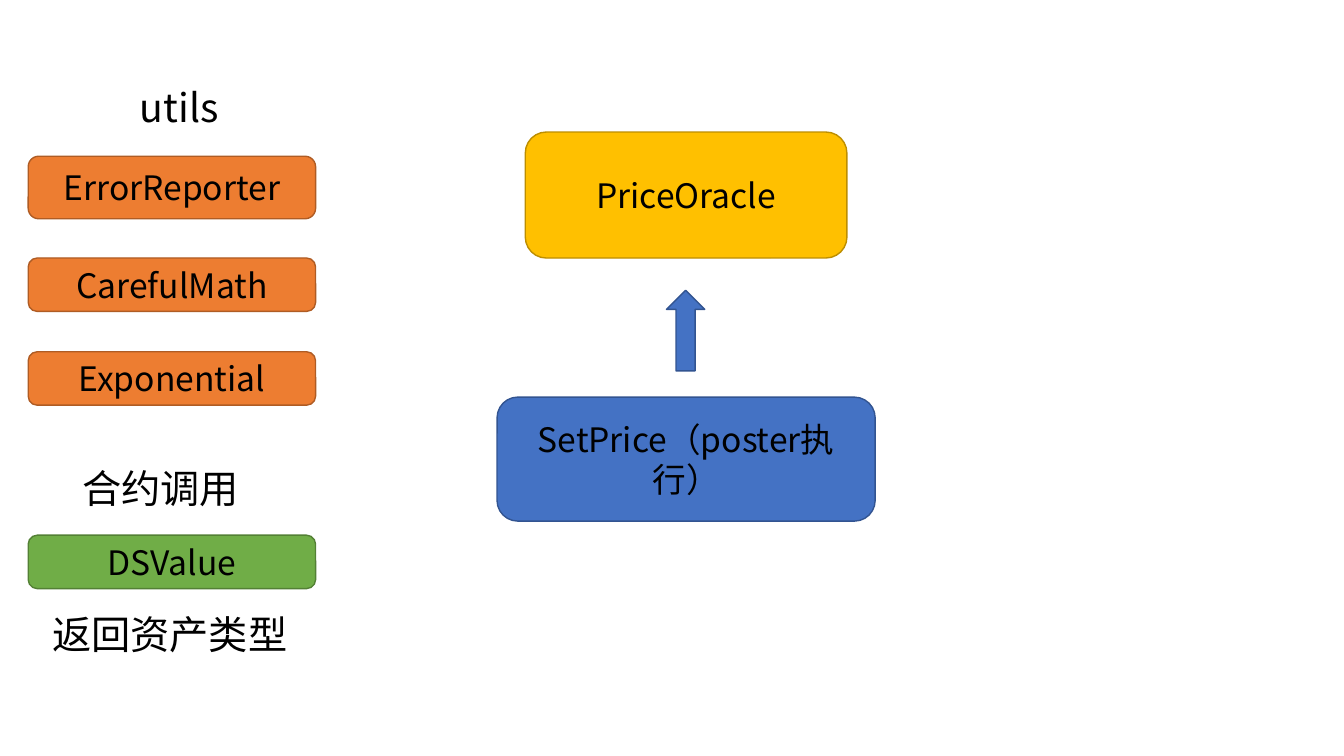
from lxml import etree
from pptx import Presentation
from pptx.dml.color import RGBColor
from pptx.enum.shapes import MSO_SHAPE
from pptx.enum.text import MSO_ANCHOR, PP_ALIGN
from pptx.oxml.ns import qn
from pptx.util import Inches, Pt

ROUNDED = MSO_SHAPE.ROUNDED_RECTANGLE
UP_ARROW = MSO_SHAPE.UP_ARROW
MIDDLE = MSO_ANCHOR.MIDDLE
CENTER, LEFT = PP_ALIGN.CENTER, PP_ALIGN.LEFT

FONT = "Noto Sans CJK SC"
COLORS = {
    "text": "000000",
    "gold": "FFC000", "gold_line": "BD8E00",
    "orange": "ED7D31", "orange_line": "AF5C24",
    "blue": "4472C4", "blue_line": "325491",
    "green": "70AD47", "green_line": "538035",
}


class Diagram:
    """Draws styled elements on the current slide."""

    def __init__(self, slide):
        self.shapes = slide.shapes

    def color(self, name):
        return RGBColor.from_string(COLORS[name])

    def set_text(self, tf, text, size, align):
        tf.word_wrap = True
        p = tf.paragraphs[0]
        p.alignment = align
        r = p.add_run()
        r.text = text
        p.font.name = FONT
        p.font.size = Pt(size)
        p.font.color.rgb = self.color("text")
        # The Chinese characters need the East Asian typeface too
        rPr = r._r.get_or_add_rPr()
        etree.SubElement(rPr, qn("a:ea")).set("typeface", FONT)

    def shape(self, kind, color, left, top, width, height):
        s = self.shapes.add_shape(
            kind, Inches(left), Inches(top), Inches(width), Inches(height))
        s.shadow.inherit = False
        s.fill.solid()
        s.fill.fore_color.rgb = self.color(color)
        s.line.color.rgb = self.color(color + "_line")
        s.line.width = Pt(1)
        return s

    def box(self, text, color, left, top, width, height):
        s = self.shape(ROUNDED, color, left, top, width, height)
        s.text_frame.vertical_anchor = MIDDLE
        self.set_text(s.text_frame, text, 24, CENTER)

    def label(self, text, left, top, width, height=0.57):
        s = self.shapes.add_textbox(
            Inches(left), Inches(top), Inches(width), Inches(height))
        self.set_text(s.text_frame, text, 28, LEFT)


def main():
    prs = Presentation()
    prs.slide_width, prs.slide_height = Inches(13.33), Inches(7.5)
    d = Diagram(prs.slides.add_slide(prs.slide_layouts[6]))

    # Left column: utilities and contract call
    d.label("utils", 1.29, 0.78, 1.67)
    for text, color, top, height in (
        ("ErrorReporter", "orange", 1.55, 0.62),
        ("CarefulMath", "orange", 2.56, 0.53),
        ("Exponential", "orange", 3.49, 0.53),
        ("DSValue", "green", 5.31, 0.53),
    ):
        d.box(text, color, 0.28, top, 2.85, height)
    d.label("合约调用", 0.72, 4.56, 2.12)
    d.label("返回资产类型", 0.42, 6.01, 2.71)

    # Centre: setting the price feeds the oracle
    d.box("PriceOracle", "gold", 5.21, 1.31, 3.19, 1.25)
    d.shape(UP_ARROW, "blue", 6.61, 2.88, 0.38, 0.8)
    d.box("SetPrice（poster执行）", "blue", 4.93, 3.94, 3.75, 1.23)

    prs.save("out.pptx")


if __name__ == "__main__":
    main()
